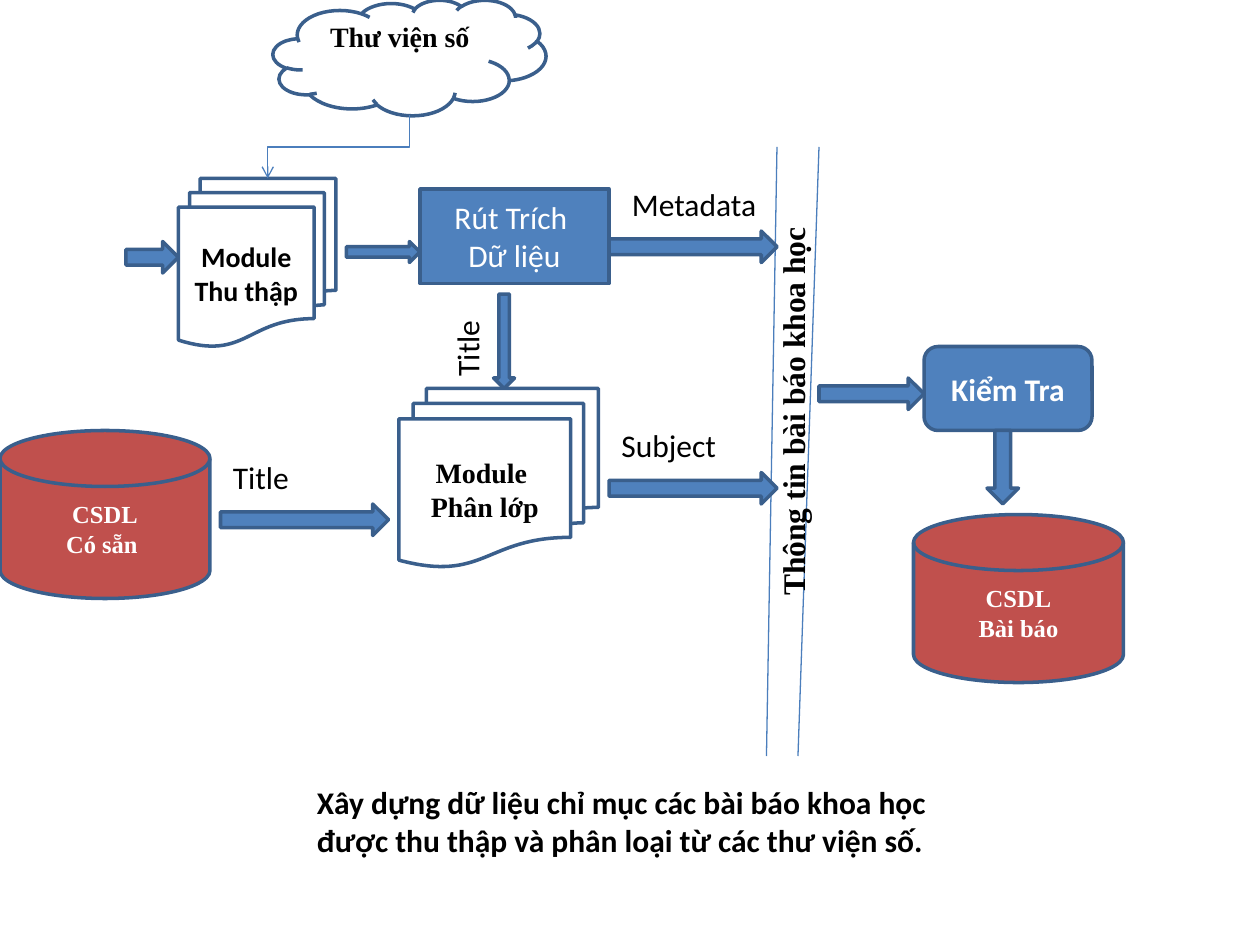
from dataclasses import dataclass
from typing import Optional

from lxml.etree import SubElement
from pptx import Presentation
from pptx.dml.color import RGBColor
from pptx.enum.shapes import MSO_CONNECTOR, MSO_SHAPE
from pptx.enum.text import MSO_ANCHOR, PP_ALIGN
from pptx.oxml.ns import qn
from pptx.util import Inches, Pt

BLUE = RGBColor(0x4F, 0x81, 0xBD)
RED = RGBColor(0xC0, 0x50, 0x4D)
OUTLINE = RGBColor(0x3A, 0x5F, 0x8C)
THIN_LINE = RGBColor(0x4B, 0x7E, 0xBC)
BLACK = RGBColor(0, 0, 0)
WHITE = RGBColor(0xFF, 0xFF, 0xFF)
SANS = "Calibri"
SERIF = "Times New Roman"
CELLS_PER_INCH = 12


@dataclass(frozen=True)
class Area:
    column: float
    row: float
    columns: float
    rows: float


@dataclass(frozen=True)
class Style:
    font: str = SANS
    size: int = 18
    bold: bool = False
    color: RGBColor = BLACK


@dataclass(frozen=True)
class Node:
    preset: MSO_SHAPE
    area: Area
    lines: tuple[str, ...]
    style: Style
    fill: Optional[RGBColor] = None
    bottom_margin: float = 0.05


@dataclass(frozen=True)
class Arrow:
    area: Area
    rotation: int = 0


@dataclass(frozen=True)
class Label:
    area: Area
    lines: tuple[str, ...]
    style: Style = Style()
    rotation: int = 0
    wrap: bool = True


MODULE_SERIF = Style(SERIF, 16, True)
DATABASE = Style(SERIF, 14, True, WHITE)
DISK = MSO_SHAPE.FLOWCHART_MAGNETIC_DISK
DOCUMENTS = MSO_SHAPE.FLOWCHART_MULTIDOCUMENT

NODES = (
    Node(DOCUMENTS, Area(17, 17, 15, 16), ("Module Thu thập",), Style(SANS, 16, True)),
    Node(DOCUMENTS, Area(38, 37, 19, 17), ("Module ", "Phân lớp"), MODULE_SERIF),
    Node(DISK, Area(87, 49, 20, 16), ("CSDL", "Bài báo"), DATABASE, RED),
    Node(DISK, Area(0, 41, 20, 16), ("CSDL", "Có sẵn "), DATABASE, RED),
    Node(MSO_SHAPE.CLOUD, Area(26, 0, 26, 11), ("Thư viện số",), MODULE_SERIF,
         bottom_margin=0.35),
    Node(MSO_SHAPE.FLOWCHART_ALTERNATE_PROCESS, Area(88, 33, 16, 8), ("Kiểm Tra",),
         Style(bold=True, color=WHITE), BLUE),
    Node(MSO_SHAPE.RECTANGLE, Area(40, 18, 18, 9), ("Rút Trích \vDữ liệu",),
         Style(color=WHITE), BLUE),
)

ARROWS = (
    Arrow(Area(12, 23, 5, 3)),
    Arrow(Area(58, 22, 16, 3)),
    Arrow(Area(78, 36, 10, 3)),
    Arrow(Area(92, 43, 7, 3), 90),
    Arrow(Area(33, 23, 7, 2)),
    Arrow(Area(43.5, 31.5, 9, 2), 90),
    Arrow(Area(58, 45, 16, 3)),
    Arrow(Area(21, 48, 16, 3)),
)

LABELS = (
    Label(Area(29, 74, 63, 8.5),
          ("Xây dựng dữ liệu chỉ mục các bài báo khoa học ",
           "được thu thập và phân loại từ các thư viện số. "),
          Style(bold=True), wrap=False),
    Label(Area(55.5, 35.5, 40, 4.85), ("Thông tin bài báo khoa học",),
          Style(SERIF, bold=True), 270),
    Label(Area(59, 17, 21, 4.85), ("Metadata",)),
    Label(Area(58, 40, 15, 4.85), ("Subject",)),
    Label(Area(21, 43, 15, 4.85), ("Title",)),
    Label(Area(37, 27.1, 15, 4.85), ("Title",), rotation=270),
)

BOUNDARIES = ((74, 14, 73, 72), (78, 14, 76, 72))
CLOUD_TO_MODULE = (29.25, 7.25, 35.25, 20.75)


def grid(*cells: float) -> list[Inches]:
    return [Inches(cell / CELLS_PER_INCH) for cell in cells]


def place(area: Area) -> list[Inches]:
    return grid(area.column, area.row, area.columns, area.rows)


def write(text_frame, lines: tuple[str, ...], style: Style, alignment: PP_ALIGN) -> None:
    text_frame.text = "\n".join(lines)
    for paragraph in text_frame.paragraphs:
        paragraph.alignment = alignment
        paragraph.font.name = style.font
        paragraph.font.size = Pt(style.size)
        paragraph.font.bold = style.bold
        paragraph.font.color.rgb = style.color


def add_outlined(slide, preset: MSO_SHAPE, area: Area, fill: Optional[RGBColor]):
    shape = slide.shapes.add_shape(preset, *place(area))
    shape.shadow.inherit = False
    if fill is None:
        shape.fill.background()
    else:
        shape.fill.solid()
        shape.fill.fore_color.rgb = fill
    shape.line.color.rgb = OUTLINE
    shape.line.width = Pt(2)
    return shape


def add_node(slide, node: Node) -> None:
    text_frame = add_outlined(slide, node.preset, node.area, node.fill).text_frame
    text_frame.word_wrap = True
    text_frame.vertical_anchor = MSO_ANCHOR.MIDDLE
    text_frame.margin_bottom = Inches(node.bottom_margin)
    write(text_frame, node.lines, node.style, PP_ALIGN.CENTER)


def add_arrow(slide, arrow: Arrow) -> None:
    shape = add_outlined(slide, MSO_SHAPE.RIGHT_ARROW, arrow.area, BLUE)
    shape.rotation = arrow.rotation


def add_label(slide, label: Label) -> None:
    box = slide.shapes.add_textbox(*place(label.area))
    box.rotation = label.rotation
    box.text_frame.word_wrap = label.wrap
    write(box.text_frame, label.lines, label.style, PP_ALIGN.LEFT)


def add_line(slide, kind: MSO_CONNECTOR, ends: tuple[float, ...]):
    connector = slide.shapes.add_connector(kind, *grid(*ends))
    connector.line.color.rgb = THIN_LINE
    connector.line.width = Pt(0.75)
    SubElement(connector._element.spPr, qn("a:effectLst"))
    return connector


def add_turned_elbow(slide, ends: tuple[float, ...]) -> None:
    connector = add_line(slide, MSO_CONNECTOR.ELBOW, ends)
    connector._element.spPr.find(qn("a:xfrm")).set("rot", str(90 * 60000))
    SubElement(connector.line._get_or_add_ln(), qn("a:tailEnd"), type="arrow")


def main() -> None:
    presentation = Presentation()
    presentation.slide_width = Inches(10)
    presentation.slide_height = Inches(7.5)
    slide = presentation.slides.add_slide(presentation.slide_layouts.get_by_name("Blank"))
    for node in NODES:
        add_node(slide, node)
    add_turned_elbow(slide, CLOUD_TO_MODULE)
    for ends in BOUNDARIES:
        add_line(slide, MSO_CONNECTOR.STRAIGHT, ends)
    for arrow in ARROWS:
        add_arrow(slide, arrow)
    for label in LABELS:
        add_label(slide, label)
    presentation.save("out.pptx")


main()
